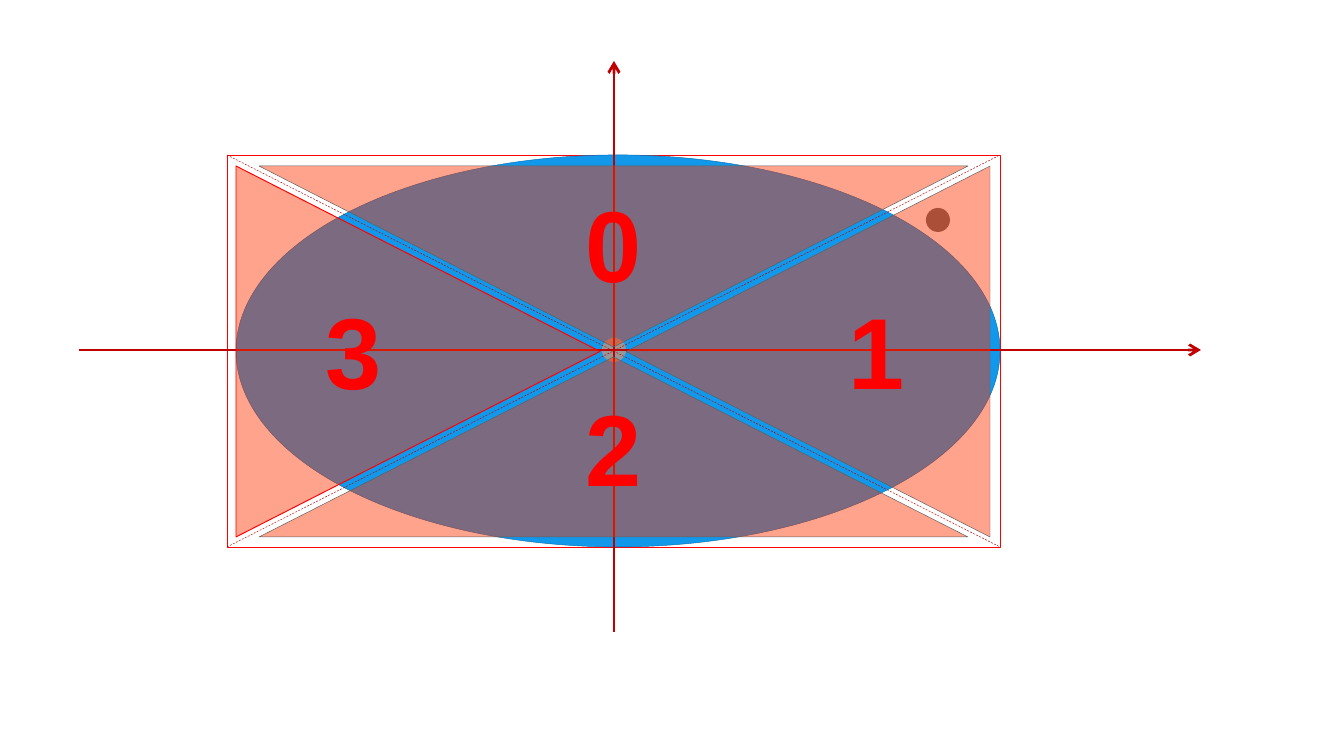
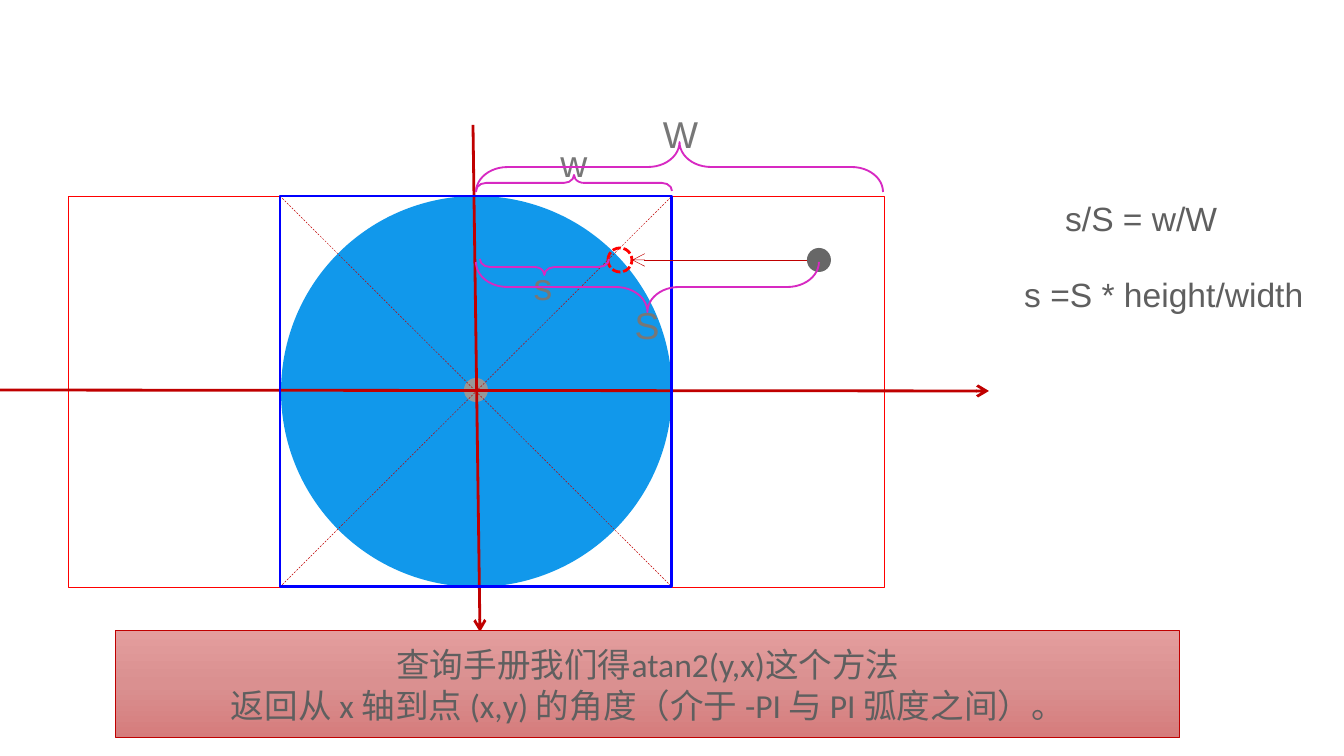
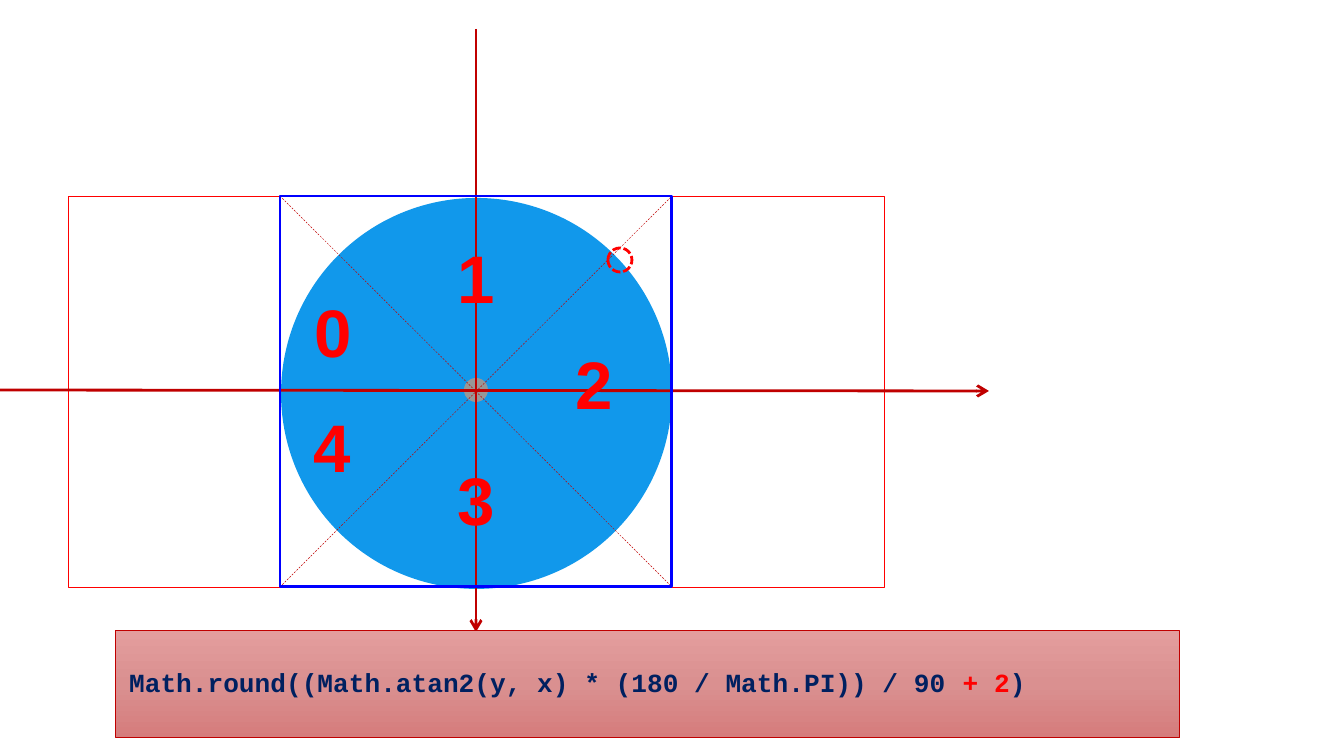
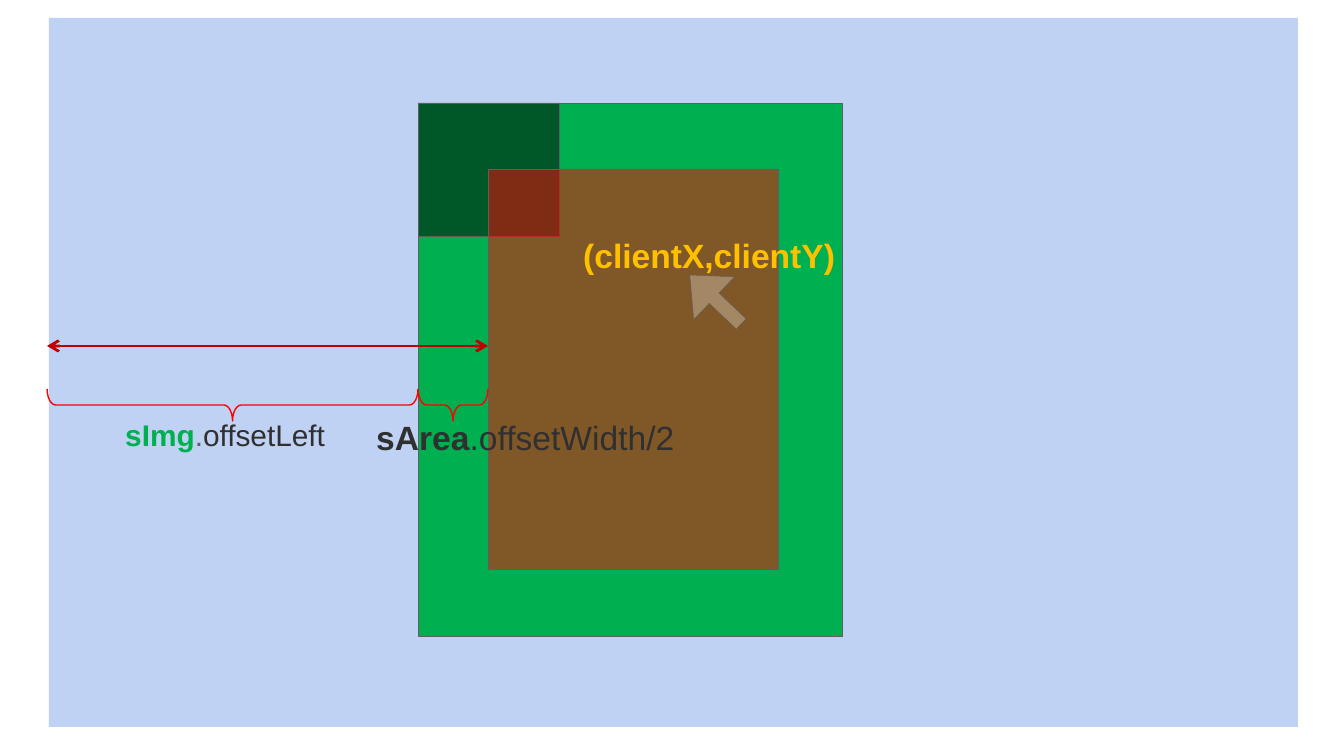
"""Build four diagram slides on pointer direction, atan2 and a magnifier area."""
from lxml.etree import SubElement
from pptx import Presentation
from pptx.dml.color import RGBColor
from pptx.enum.dml import MSO_LINE
from pptx.enum.shapes import MSO_CONNECTOR, MSO_SHAPE
from pptx.enum.text import MSO_ANCHOR, MSO_AUTO_SIZE, PP_ALIGN
from pptx.oxml import parse_xml
from pptx.oxml.ns import nsdecls, qn
from pptx.util import Emu, Pt

PX = 914400 / 134.4
SLIDE_SIZE = (1344, 756)

THEME = {
    "looks": {
        "frame": {"line": "FF0000", "width": 0.25},
        "oval": {"fill": "1198EB", "line": "0D70AE", "width": 0.25},
        "disc": {"fill": "1198EB"},
        "hub": {"fill": "979797"},
        "point": {"fill": "676767"},
        "sector": {"fill": "FF3300", "alpha": 45, "line": "5F5F5F", "width": 0.25},
        "active sector": {"fill": "FF3300", "alpha": 45, "line": "FF0000", "width": 0.5},
        "square": {"line": "0000FF", "width": 1.5},
        "ring": {"line": "FF0000", "width": 1.5, "dash": MSO_LINE.SQUARE_DOT},
        "brace": {"line": "D729C2", "width": 1},
        "offset brace": {"line": "FF0000", "width": 0.75},
        "band": {"gradient": ((0, "E39D9D"), (50, "DA9090"), (100, "D57C7C")),
                 "line": "C00000", "width": 0.5},
        "page": {"fill": "C0D2F4"},
        "image": {"fill": "00B050", "line": "5F5F5F", "width": 0.25},
        "shade": {"fill": "000000", "alpha": 50, "line": "5F5F5F", "width": 0.25},
        "range": {"fill": "FF0000", "alpha": 50, "line": "5F5F5F", "width": 0.25},
        "cursor": {"fill": "FFFFFF", "alpha": 29, "line": "5F5F5F", "width": 0.25},
        "axis": {"line": "C00000", "width": 1.5, "ends": ("tailEnd",)},
        "span": {"line": "C00000", "width": 1.5, "ends": ("headEnd", "tailEnd")},
        "move": {"line": "C00000", "width": 0.25, "ends": ("tailEnd",)},
        "diagonal": {"line": "C00000", "width": 0.25, "dash": MSO_LINE.DASH},
    },
    "fonts": {
        "sector number": {"name": "Arial", "size": 54, "bold": True, "color": "FF0000"},
        "result number": {"name": "Arial", "size": 36, "bold": True, "color": "FF0000"},
        "length": {"name": "Arial", "size": 20, "color": "777777"},
        "formula": {"name": "Arial", "size": 18, "color": "5F5F5F"},
        "note": {"name": "Calibri", "size": 18, "color": "5F5F5F"},
        "code": {"name": "Courier New", "size": 14, "bold": True, "color": "002060"},
        "code change": {"name": "Courier New", "size": 14, "bold": True, "color": "FF0000"},
        "image name": {"name": "Arial", "size": 16, "bold": True, "color": "00B050"},
        "dot": {"name": "Arial", "size": 16, "bold": False, "color": "5F5F5F"},
        "property": {"name": "Arial", "size": 16, "bold": False, "color": "303030"},
        "area name": {"name": "Arial", "size": 18, "bold": True, "color": "303030"},
        "area property": {"name": "Arial", "size": 18, "bold": False, "color": "303030"},
        "pointer": {"name": "Arial", "size": 18, "bold": True, "color": "FFC000"},
    },
}

CENTER = {"alignment": PP_ALIGN.CENTER}
LEFT = {"alignment": PP_ALIGN.LEFT}
CODE_LINE = {"alignment": PP_ALIGN.LEFT, "line_spacing": Pt(14)}

OVAL_FRAME = (227, 155, 773, 392)
SQUARE = (280, 196, 392, 391)
HUB = ("shape", MSO_SHAPE.OVAL, (464, 378, 24, 24), "hub")
WIDE_FRAME = ("shape", MSO_SHAPE.RECTANGLE, (68, 196, 816, 391), "frame")
X_AXIS = ("line", (-58, 390), (989, 391), "axis")
SQUARE_PARTS = [
    ("diagonals", SQUARE),
    ("shape", MSO_SHAPE.RECTANGLE, SQUARE, "square"),
    ("shape", MSO_SHAPE.OVAL, (608, 248, 24, 24), "ring"),
]
BAND = ("shape", MSO_SHAPE.RECTANGLE, (116, 631, 1064, 107), "band")
BRACE_BEND = (0.63, 0.5)
OFFSET_BEND = (0.27, 0.5)

SECTORS = [
    ("shape", MSO_SHAPE.ISOSCELES_TRIANGLE, (259, 166, 709, 181), "sector", 180),
    ("shape", MSO_SHAPE.ISOSCELES_TRIANGLE, (259, 357, 709, 180), "sector"),
    ("shape", MSO_SHAPE.ISOSCELES_TRIANGLE, (236, 166, 364, 371), "active sector", 90),
    ("shape", MSO_SHAPE.ISOSCELES_TRIANGLE, (626, 166, 364, 371), "sector", 270),
]
SECTOR_NUMBERS = {"0": (572, 175), "1": (835, 282), "2": (572, 379), "3": (312, 282)}
RESULT_NUMBERS = {"1": (444, 230), "2": (562, 336), "3": (444, 452),
                  "0": (301, 284), "4": (300, 399)}
LENGTHS = [
    ("w", (546, 134, 56, 59), (476, 175, 196, 16), 90),
    ("W", (649, 105, 63, 59), (476, 142, 407, 50), 90),
    ("s", (520, 257, 46, 59), (480, 259, 129, 16), 270),
    ("S", (621, 296, 52, 59), (476, 262, 343, 50), 270),
]
NOTE = [
    [("查询手册我们得atan2(y,x)这个方法", "note")],
    [("返回从 x 轴到点 (x,y) 的角度（介于 -PI 与 PI 弧度之间）。", "note")],
]
CODE = [[
    ("Math.round((Math.atan2(y, x) * (180 / Math.PI)) / 90 ", "code"),
    ("+ 2", "code change"),
    (")", "code"),
]]


def numbers(places, size, font):
    return [("text", (*place, *size), [(digit, font)], CENTER)
            for digit, place in places.items()]


def measured_lengths():
    items = []
    for letter, label_box, brace_box, turn in LENGTHS:
        items.append(("shape", MSO_SHAPE.LEFT_BRACE, brace_box, "brace", turn, BRACE_BEND))
        items.append(("text", label_box, [(letter, "length")], CENTER))
    return items


SLIDES = [
    [
        ("shape", MSO_SHAPE.RECTANGLE, OVAL_FRAME, "frame"),
        ("shape", MSO_SHAPE.OVAL, (236, 155, 764, 392), "oval"),
        ("shape", MSO_SHAPE.OVAL, (602, 338, 24, 24), "hub"),
        ("line", (79, 350), (1201, 350), "axis"),
        ("line", (614, 632), (614, 61), "axis"),
        ("shape", MSO_SHAPE.OVAL, (926, 208, 24, 24), "point"),
        ("diagonals", OVAL_FRAME),
        *SECTORS,
        *numbers(SECTOR_NUMBERS, (83, 136), "sector number"),
    ],
    [
        WIDE_FRAME,
        ("shape", MSO_SHAPE.OVAL, (281, 196, 391, 391), "disc"),
        HUB,
        X_AXIS,
        ("line", (473, 125), (480, 632), "axis"),
        ("shape", MSO_SHAPE.OVAL, (807, 248, 24, 24), "point"),
        *SQUARE_PARTS,
        ("line", (807, 260), (632, 260), "move"),
        *measured_lengths(),
        ("text", (1052, 191, 180, 54), [("s/S = w/W", "formula")], LEFT),
        ("text", (1011, 267, 309, 54), [("s =S * height/width", "formula")], LEFT),
        (*BAND, 0, (), NOTE, CENTER),
    ],
    [
        WIDE_FRAME,
        ("shape", MSO_SHAPE.OVAL, (281, 198, 391, 391), "disc"),
        HUB,
        X_AXIS,
        ("line", (476, 29), (476, 632), "axis"),
        *SQUARE_PARTS,
        (*BAND, 0, (), CODE, CODE_LINE),
        *numbers(RESULT_NUMBERS, (65, 95), "result number"),
    ],
    [
        ("shape", MSO_SHAPE.RECTANGLE, (49, 18, 1249, 709), "page"),
        ("shape", MSO_SHAPE.RECTANGLE, (418, 103, 424, 533), "image"),
        ("shape", MSO_SHAPE.RECTANGLE, (418, 103, 141, 133), "shade"),
        ("shape", MSO_SHAPE.RECTANGLE, (488, 169, 290, 400), "range"),
        ("line", (47, 346), (488, 346), "span"),
        ("shape", MSO_SHAPE.RIGHT_BRACE, (47, 389, 371, 32), "offset brace", 90, OFFSET_BEND),
        ("shape", MSO_SHAPE.RIGHT_BRACE, (418, 389, 70, 32), "offset brace", 90, OFFSET_BEND),
        ("text", (112, 410, 230, 50),
         [("sImg", "image name"), (".", "dot"), ("offsetLeft", "property")], LEFT),
        ("text", (363, 410, 328, 54),
         [("sArea", "area name"), (".offsetWidth/2", "area property")], LEFT),
        ("shape", MSO_SHAPE.LEFT_ARROW, (680, 270, 71, 59), "cursor", 43.6, (0.24, 0.57)),
        ("text", (570, 228, 282, 54), [("(clientX,clientY)", "pointer")], LEFT),
    ],
]


def to_emu(lengths):
    return [Emu(round(length * PX)) for length in lengths]


def unturned(box, turn):
    """Return the box before a quarter turn that makes it fill the given box."""
    left, top, width, height = box
    if turn not in (90, 270):
        return box
    return (left + (width - height) / 2, top + (height - width) / 2, height, width)


def paint_line(line, look):
    if "line" not in look:
        line.fill.background()
        return
    line.color.rgb = RGBColor.from_string(look["line"])
    line.width = Pt(look["width"])
    if "dash" in look:
        line.dash_style = look["dash"]


def paint_fill(shape, look):
    properties = shape._element.spPr
    if "gradient" in look:
        shape.fill.background()
        stops = "".join(
            f'<a:gs pos="{place * 1000}"><a:srgbClr val="{color}"/></a:gs>'
            for place, color in look["gradient"])
        gradient = parse_xml(
            f'<a:gradFill {nsdecls("a")} rotWithShape="1"><a:gsLst>{stops}</a:gsLst>'
            '<a:lin ang="5400000" scaled="0"/></a:gradFill>')
        properties.replace(properties.find(qn("a:noFill")), gradient)
    elif "fill" in look:
        shape.fill.solid()
        shape.fill.fore_color.rgb = RGBColor.from_string(look["fill"])
        if "alpha" in look:
            color = properties.find(qn("a:solidFill")).find(qn("a:srgbClr"))
            SubElement(color, qn("a:alpha"), val=str(look["alpha"] * 1000))
    else:
        shape.fill.background()


def write(paragraph, runs, layout):
    for name, value in layout.items():
        setattr(paragraph, name, value)
    for text, font_name in runs:
        run = paragraph.add_run()
        run.text = text
        style = dict(THEME["fonts"][font_name])
        run.font.color.rgb = RGBColor.from_string(style.pop("color"))
        style["size"] = Pt(style["size"])
        for name, value in style.items():
            setattr(run.font, name, value)


def draw_shape(slide, kind, box, look_name, turn=0, bends=(), paragraphs=(), layout=None):
    look = THEME["looks"][look_name]
    shape = slide.shapes.add_shape(kind, *to_emu(unturned(box, turn)))
    shape.rotation = turn
    shape.shadow.inherit = False
    for index, bend in enumerate(bends):
        shape.adjustments[index] = bend
    paint_fill(shape, look)
    paint_line(shape.line, look)
    frame = shape.text_frame
    frame.vertical_anchor = MSO_ANCHOR.MIDDLE
    for index, runs in enumerate(paragraphs):
        paragraph = frame.add_paragraph() if index else frame.paragraphs[0]
        write(paragraph, runs, layout)


def draw_line(slide, start, end, look_name):
    look = THEME["looks"][look_name]
    connector = slide.shapes.add_connector(MSO_CONNECTOR.STRAIGHT, *to_emu((*start, *end)))
    paint_line(connector.line, look)
    properties = connector._element.spPr
    for end_name in look.get("ends", ()):
        SubElement(properties.find(qn("a:ln")), qn(f"a:{end_name}"), type="arrow")
    SubElement(properties, qn("a:effectLst"))


def draw_diagonals(slide, box):
    left, top, width, height = box
    right, bottom = left + width, top + height
    draw_line(slide, (left, bottom), (right, top), "diagonal")
    draw_line(slide, (left, top), (right, bottom), "diagonal")


def draw_text(slide, box, runs, layout):
    frame = slide.shapes.add_textbox(*to_emu(box)).text_frame
    for name, value in {"word_wrap": False,
                        "auto_size": MSO_AUTO_SIZE.SHAPE_TO_FIT_TEXT}.items():
        setattr(frame, name, value)
    write(frame.paragraphs[0], runs, layout)


DRAW = {"shape": draw_shape, "line": draw_line,
        "diagonals": draw_diagonals, "text": draw_text}


def main():
    presentation = Presentation()
    presentation.slide_width, presentation.slide_height = to_emu(SLIDE_SIZE)
    blank_layout = presentation.slide_layouts[6]
    for items in SLIDES:
        slide = presentation.slides.add_slide(blank_layout)
        for kind, *details in items:
            DRAW[kind](slide, *details)
    presentation.save("out.pptx")


if __name__ == "__main__":
    main()
